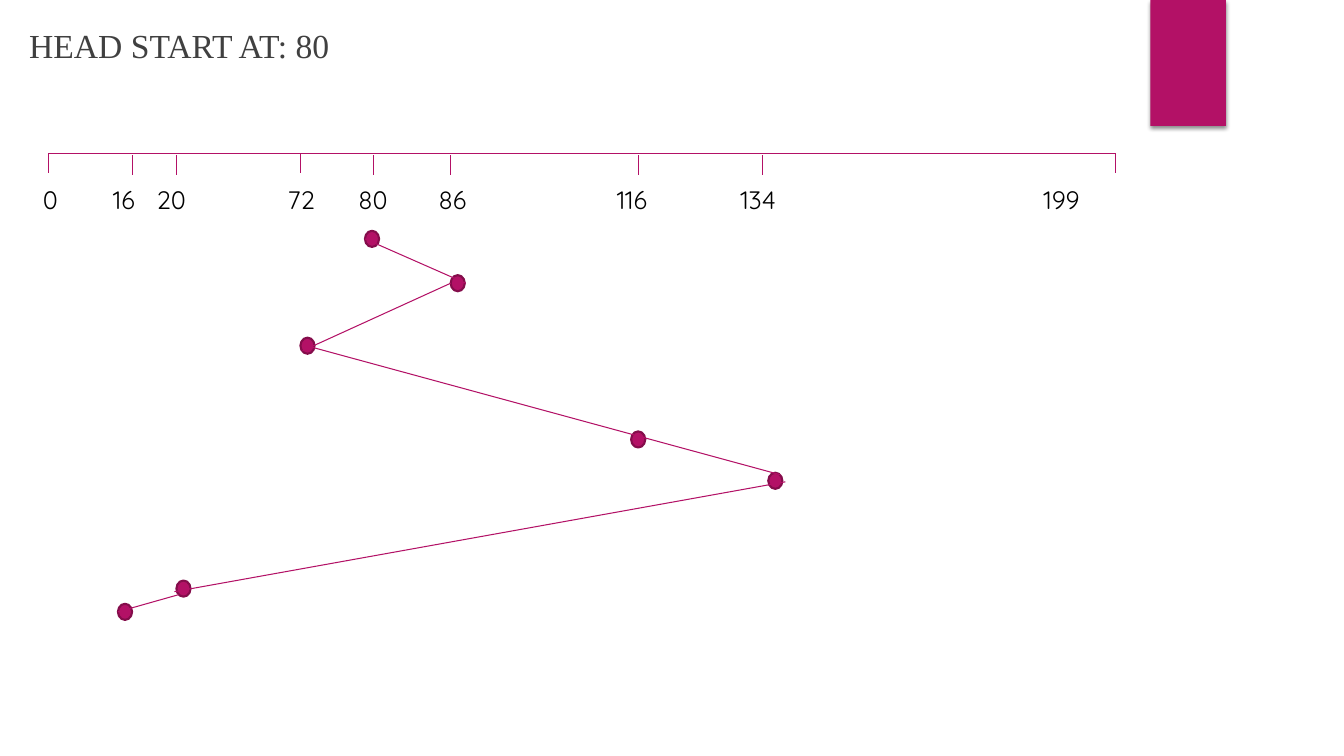
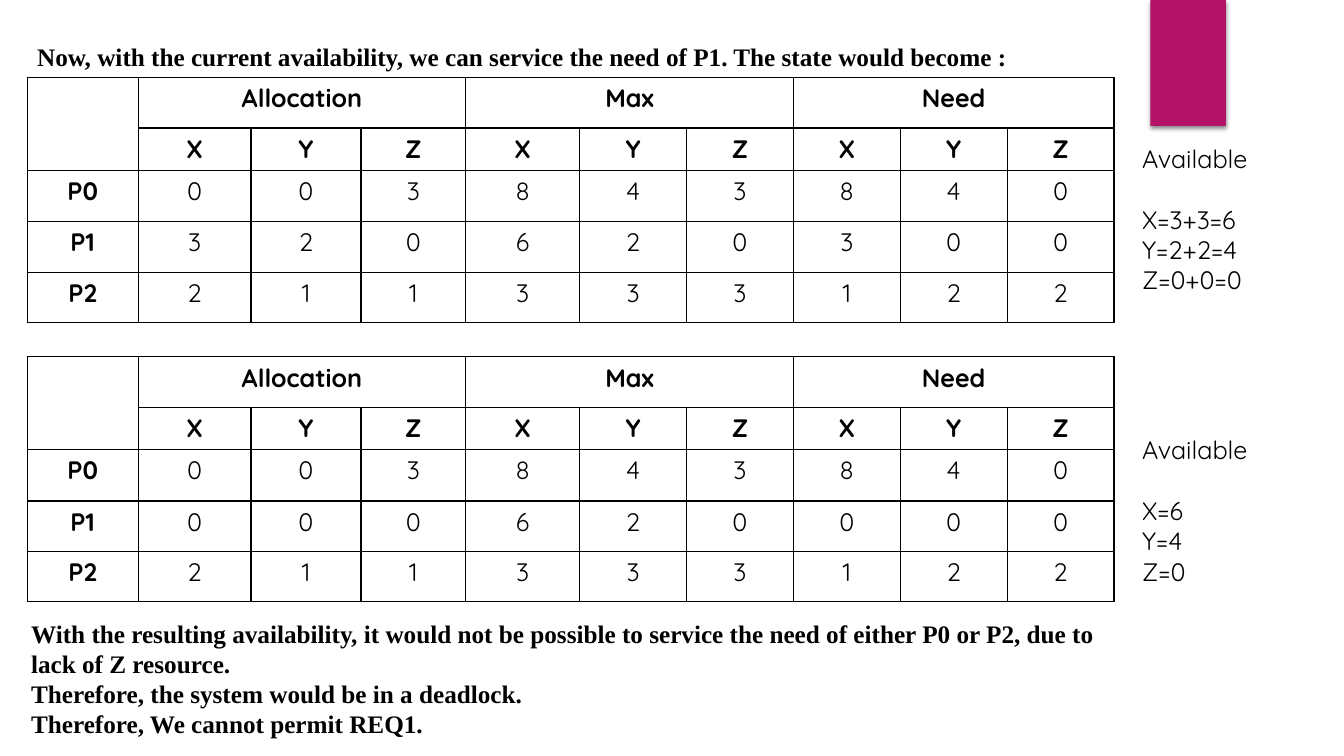
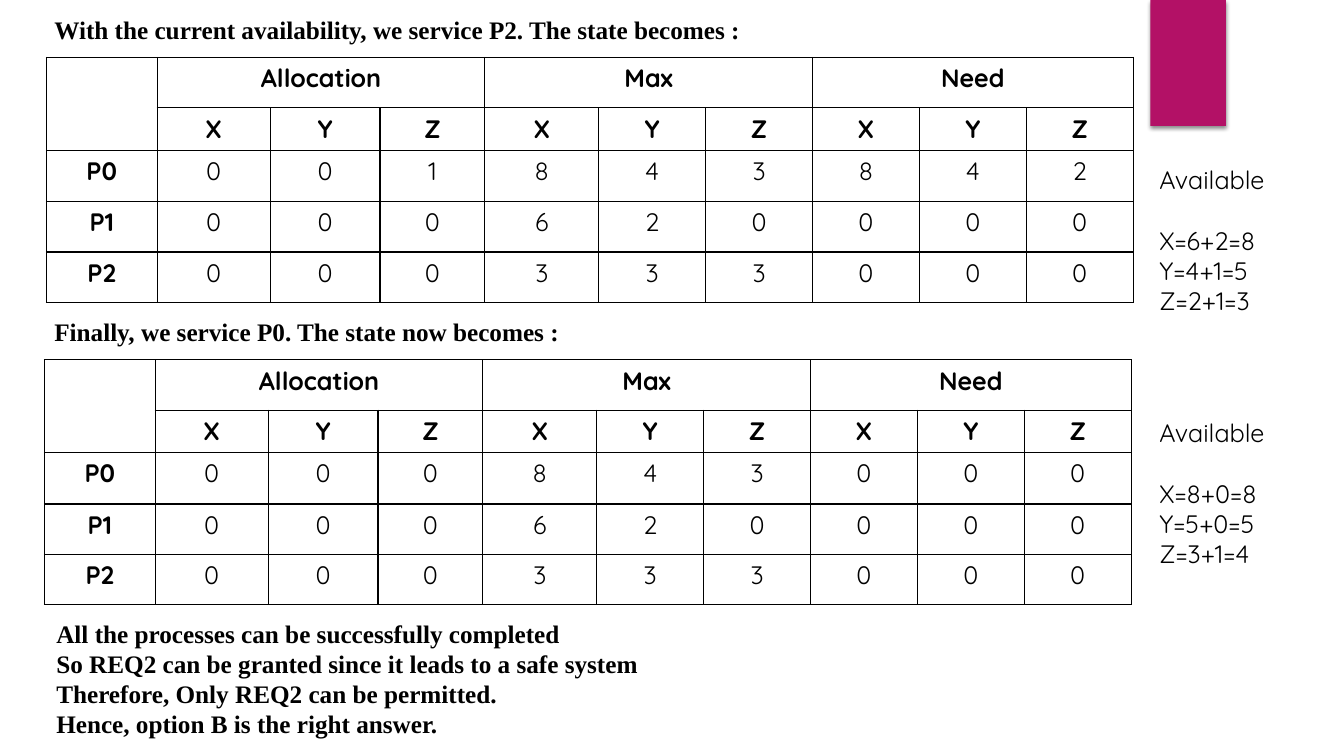
from lxml.etree import SubElement
from pptx import Presentation
from pptx.dml.color import RGBColor
from pptx.enum.shapes import MSO_CONNECTOR as CONNECTOR, MSO_SHAPE as SHAPE
from pptx.enum.text import PP_ALIGN as ALIGN
from pptx.oxml.ns import qn
from pptx.util import Inches, Pt

COLORS = {
    "accent": "B31166",
    "accent_dark": "840D4B",
    "title": "404040",
    "text": "000000",
}
SERIF = "Times New Roman"
SANS = "Quicksand"
COLUMN_WIDTHS = [1.1, 1.12, 1.09, 1.04, 1.13] + [1.06] * 5
ROW_HEIGHTS = [0.5, 0.42, 0.51, 0.5, 0.5]
GROUPS = ["Allocation", "Max", "Need"]
AXIS_TOP = 1.52
LABEL_LEFT = 0.19
INSET = 0.1


def color(name):
    return RGBColor.from_string(COLORS[name])


def add_run(paragraph, text, font=SANS, size=18, bold=False, ink="text"):
    run = paragraph.add_run()
    run.text = text
    run.font.name = font
    run.font.size = Pt(size)
    run.font.bold = bold
    run.font.color.rgb = color(ink)


def add_text(slide, box, lines, **style):
    frame = slide.shapes.add_textbox(*map(Inches, box)).text_frame
    frame.word_wrap = True
    for index, line in enumerate(lines):
        paragraph = frame.add_paragraph() if index else frame.paragraphs[0]
        add_run(paragraph, line, **style)
    return frame


def add_statement(slide, left, top, lines, height=0.4):
    add_text(slide, (left, top, 10.78, height), lines, font=SERIF, bold=True)


def add_available(slide, left, top, values):
    frame = add_text(slide, (left, top, 1.7, 1.62), ["Available", *values])
    frame.paragraphs[0].space_after = Pt(22)


def add_line(slide, start, end):
    line = slide.shapes.add_connector(
        CONNECTOR.STRAIGHT, *map(Inches, (*start, *end)))
    line.line.color.rgb = color("accent")
    line.line.width = Pt(0.75)
    SubElement(line.element.spPr, qn("a:effectLst"))


def add_dot(slide, left, top):
    dot = slide.shapes.add_shape(
        SHAPE.OVAL, *map(Inches, (left, top, 0.14, 0.16)))
    dot.shadow.inherit = False
    dot.fill.solid()
    dot.fill.fore_color.rgb = color("accent")
    dot.line.color.rgb = color("accent_dark")
    dot.line.width = Pt(1.5)


def add_band(slide, layout):
    band = slide.shapes.add_shape(
        SHAPE.RECTANGLE, *map(Inches, (11.41, 0, 0.75, 1.25)))
    band.fill.solid()
    band.fill.fore_color.rgb = color("accent")
    band.line.fill.background()
    effects = SubElement(band.element.spPr, qn("a:effectLst"))
    shadow = SubElement(effects, qn("a:outerShdw"), blurRad=str(Pt(3)),
                        dist=str(Pt(2)), dir="5400000", rotWithShape="0")
    ink = SubElement(shadow, qn("a:srgbClr"), val=COLORS["text"])
    SubElement(ink, qn("a:alpha"), val="45000")
    band.element.nvSpPr.cNvPr.set("id", "20")
    layout.shapes.element.append(band.element)


def style_cell(cell):
    properties = cell._tc.get_or_add_tcPr()
    for side in ("lnL", "lnR", "lnT", "lnB"):
        border = SubElement(properties, qn("a:" + side), w=str(Pt(1)))
        fill = SubElement(border, qn("a:solidFill"))
        SubElement(fill, qn("a:srgbClr"), val=COLORS["text"])
    cell.fill.background()


def write_cell(cell, text, bold):
    paragraph = cell.text_frame.paragraphs[0]
    paragraph.alignment = ALIGN.CENTER
    add_run(paragraph, text, bold=bold)


def add_state_table(slide, left, top, processes):
    table = slide.shapes.add_table(
        len(ROW_HEIGHTS), len(COLUMN_WIDTHS), Inches(left), Inches(top),
        Inches(sum(COLUMN_WIDTHS)), Inches(sum(ROW_HEIGHTS))).table
    table.first_row = table.horz_banding = False
    for column, width in zip(table.columns, COLUMN_WIDTHS):
        column.width = Inches(width)
    for row, height in zip(table.rows, ROW_HEIGHTS):
        row.height = Inches(height)
    for cell in table.iter_cells():
        style_cell(cell)
    table.cell(0, 0).merge(table.cell(1, 0))
    for index, group in enumerate(GROUPS):
        first = 1 + 3 * index
        table.cell(0, first).merge(table.cell(0, first + 2))
        write_cell(table.cell(0, first), group, True)
    for column, resource in enumerate("XYZ" * 3, 1):
        write_cell(table.cell(1, column), resource, True)
    for index, values in enumerate(processes):
        write_cell(table.cell(index + 2, 0), f"P{index}", True)
        for column, value in enumerate(values.replace(" ", ""), 1):
            write_cell(table.cell(index + 2, column), value, False)


def add_axis_labels(slide, labels):
    frame = add_text(slide, (LABEL_LEFT, 1.78, 11.48, 0.4),
                     ["".join("\t" + text for text in labels)])
    properties = frame.paragraphs[0]._p.get_or_add_pPr()
    tabs = SubElement(properties, qn("a:tabLst"))
    for center in labels.values():
        position = Inches(center - LABEL_LEFT - INSET)
        SubElement(tabs, qn("a:tab"), pos=str(position), algn="ctr")


def build_seek_slide(slide):
    add_text(slide, (0.19, 0.2, 12.68, 6.88), ["HEAD START AT: 80"],
             font=SERIF, size=24, ink="title")
    add_line(slide, (0.48, AXIS_TOP), (11.06, AXIS_TOP))
    for x in (0.48, 2.98, 11.06):
        add_line(slide, (x, AXIS_TOP), (x, AXIS_TOP + 0.2))
    for x in (1.31, 1.75, 3.7, 4.47, 6.33, 7.56):
        add_line(slide, (x, AXIS_TOP + 0.02), (x, AXIS_TOP + 0.22))
    add_axis_labels(slide, {
        "0": 0.5, "16": 1.23, "20": 1.7, "72": 2.99, "80": 3.7,
        "86": 4.49, "116": 6.27, "134": 7.52, "199": 10.53})
    for left, top in ((3.62, 2.29), (4.47, 2.73), (2.98, 3.35), (6.26, 4.28),
                      (7.62, 4.69), (1.75, 5.76), (1.17, 5.99)):
        add_dot(slide, left, top)
    for start, end in (((3.62, 2.37), (4.62, 2.81)),
                       ((4.47, 2.81), (3, 3.48)),
                       ((3.04, 3.43), (7.74, 4.71)),
                       ((7.79, 4.78), (1.73, 5.87)),
                       ((1.77, 5.9), (1.17, 6.07))):
        add_line(slide, start, end)


def build_deadlock_slide(slide):
    add_statement(slide, 0.27, 0.36, [
        "Now, with the current availability, we can service the need of P1. "
        "The state would become :"])
    add_state_table(slide, 0.27, 0.77,
                    ["003 843 840", "320 620 300", "211 333 122"])
    add_available(slide, 11.23, 1.37, ["X=3+3=6", "Y=2+2=4", "Z=0+0=0"])
    add_state_table(slide, 0.27, 3.54,
                    ["003 843 840", "000 620 000", "211 333 122"])
    add_available(slide, 11.23, 4.26, ["X=6", "Y=4", "Z=0"])
    add_statement(slide, 0.21, 6.08, [
        "With the resulting availability, it would not be possible to service "
        "the need of either P0 or P2, due to lack of Z resource.",
        "Therefore, the system would be in a deadlock.",
        "Therefore, We cannot permit REQ1."], 1.31)


def build_safe_slide(slide):
    add_statement(slide, 0.44, 0.09, [
        "With the current availability, we service P2. "
        "The state becomes :"])
    add_state_table(slide, 0.46, 0.57,
                    ["001 843 842", "000 620 000", "000 333 000"])
    add_available(slide, 11.4, 1.58, ["X=6+2=8", "Y=4+1=5", "Z=2+1=3"])
    add_statement(slide, 0.44, 3.09,
                  ["Finally, we service P0. The state now becomes :"])
    add_state_table(slide, 0.44, 3.57,
                    ["000 843 000", "000 620 000", "000 333 000"])
    add_available(slide, 11.4, 4.09, ["X=8+0=8", "Y=5+0=5", "Z=3+1=4"])
    add_statement(slide, 0.46, 6.08, [
        "All the processes can be successfully completed",
        "So REQ2 can be granted since it leads to a safe system",
        "Therefore, Only REQ2 can be permitted.",
        "Hence, option B is the right answer."], 1.31)


def main():
    presentation = Presentation()
    presentation.slide_width = Inches(13.33)
    presentation.slide_height = Inches(7.5)
    layout = presentation.slide_layouts[6]
    slides = [presentation.slides.add_slide(layout) for _ in range(3)]
    add_band(slides[0], layout)
    build_seek_slide(slides[0])
    build_deadlock_slide(slides[1])
    build_safe_slide(slides[2])
    presentation.save("out.pptx")


if __name__ == "__main__":
    main()
